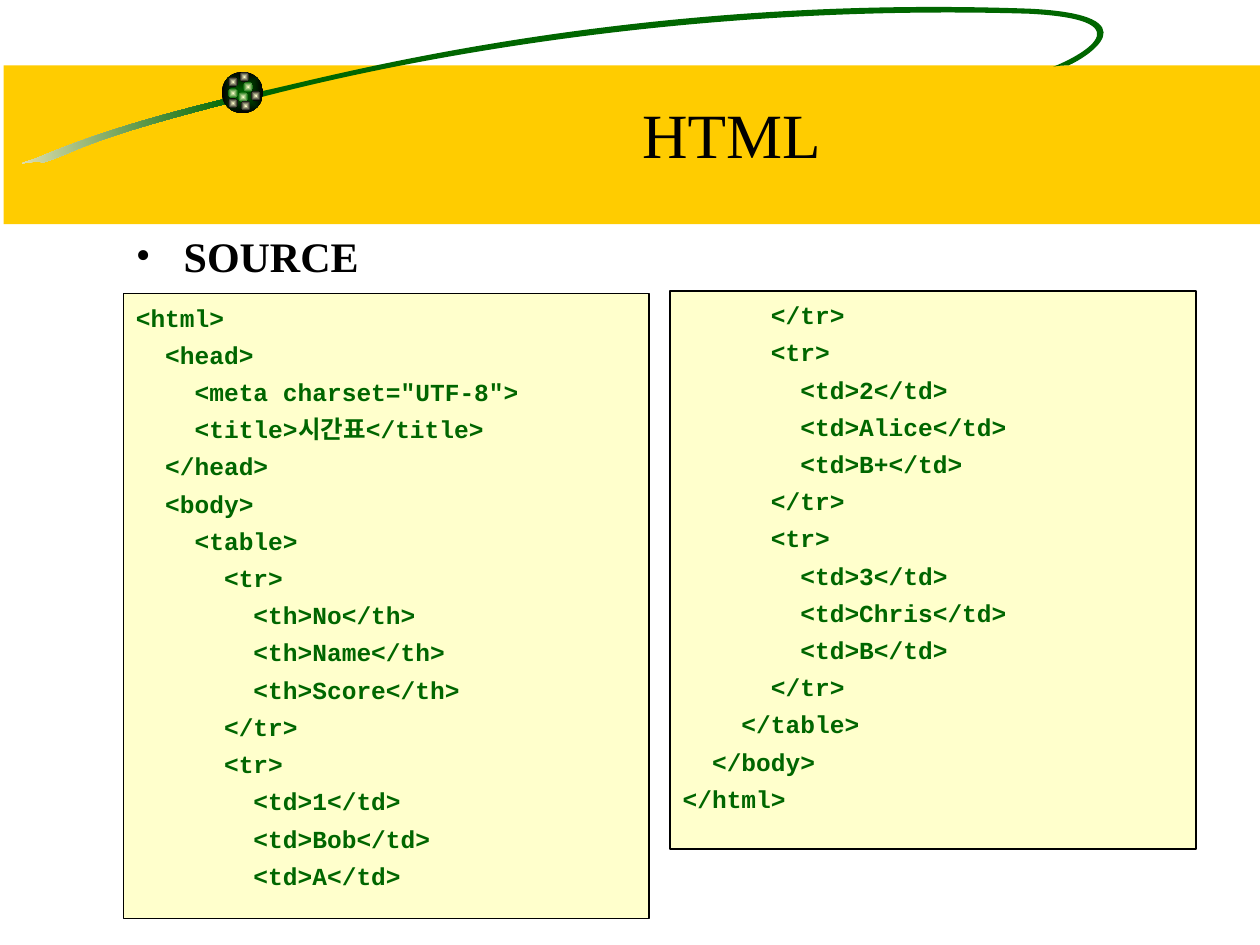
from math import cos, radians, sin

from lxml.etree import SubElement
from pptx import Presentation
from pptx.dml.color import RGBColor
from pptx.enum.shapes import MSO_SHAPE
from pptx.enum.text import MSO_ANCHOR, PP_ALIGN
from pptx.oxml.ns import qn
from pptx.util import Inches, Pt

COLORS = {
    "band": "FFCC00", "green": "006600", "sand": "F5EBC1",
    "cream": "FFFFCC", "black": "000000",
}
SERIF, MONO = "Times New Roman", "Courier New"
TILT = -8.5  # degrees that the swoosh is turned

# Swoosh outlines: a start point, then cubic curves of three points each
TAIL = [(1.81, 0.78),
        (0.93, 0.99), (0.52, 1.16), (0.28, 1.26),
        (0.03, 1.34), (0.29, 1.26), (0.34, 1.29),
        (0.59, 1.22), (0.6, 1.13), (1.81, 0.82)]
LOOP = [(2.05, 0.73),
        (2.48, 0.65), (4.89, -0.05), (8.17, 0.07),
        (9.19, 0.12), (8.6, 0.47), (8.48, 0.52),
        (8.48, 0.52), (8.41, 0.52), (8.36, 0.53),
        (8.47, 0.49), (9.19, 0.16), (8.16, 0.11),
        (5.5, 0.03), (3.23, 0.47), (2.08, 0.77)]

# Pearls on the ball: left, top, outer colour
PEARLS = [(1.93, 0.65, "green"), (1.81, 0.61, "black"), (1.81, 0.7, "green"),
          (1.89, 0.73, "green"), (1.99, 0.72, "black"), (1.91, 0.8, "black"),
          (1.81, 0.78, "black"), (1.9, 0.57, "black")]

CODE_LEFT = """<html>
  <head>
    <meta charset="UTF-8">
    <title>시간표</title>
  </head>
  <body>
    <table>
      <tr>
        <th>No</th>
        <th>Name</th>
        <th>Score</th>
      </tr>
      <tr>
        <td>1</td>
        <td>Bob</td>
        <td>A</td>"""
CODE_RIGHT = """      </tr>
      <tr>
        <td>2</td>
        <td>Alice</td>
        <td>B+</td>
      </tr>
      <tr>
        <td>3</td>
        <td>Chris</td>
        <td>B</td>
      </tr>
    </table>
  </body>
</html>"""


def rgb(name):
    return RGBColor.from_string(COLORS[name])


def write_text(frame, text, font=SERIF, size=14, color="black", bold=False,
               align=PP_ALIGN.LEFT, anchor=MSO_ANCHOR.TOP,
               leading=None, before=0, after=0):
    """Write one paragraph for each line of text."""
    frame.word_wrap = True
    frame.vertical_anchor = anchor
    for number, line in enumerate(text.split("\n")):
        para = frame.add_paragraph() if number else frame.paragraphs[0]
        para.alignment = align
        para.line_spacing = leading
        para.space_before, para.space_after = Pt(before), Pt(after)
        span = para.add_run()
        span.text = line
        span.font.name, span.font.size = font, Pt(size)
        span.font.bold = bold
        span.font.color.rgb = rgb(color)


def add_bullet(para, indent):
    props = para._p.get_or_add_pPr()
    props.set("marL", str(Inches(indent)))
    props.set("indent", str(-Inches(indent)))
    SubElement(props, qn("a:buFont"), typeface=SERIF)
    SubElement(props, qn("a:buChar"), char="•")


def turn(points, center, degrees):
    """Turn points clockwise about a center; give them as lengths."""
    c, s = cos(radians(degrees)), sin(radians(degrees))
    moved = [(x - center[0], y - center[1]) for x, y in points]
    return [(Inches(center[0] + x * c - y * s),
             Inches(center[1] + x * s + y * c)) for x, y in moved]


def bend(shape):
    """Join each three straight segments of an outline into one cubic curve."""
    outline = next(shape._element.iter(qn("a:path")))
    lines = outline.findall(qn("a:lnTo"))
    for first in range(0, len(lines), 3):
        curve = outline.makeelement(qn("a:cubicBezTo"))
        lines[first].addprevious(curve)
        for line in lines[first:first + 3]:
            curve.append(line[0])
            outline.remove(line)


class SlideWriter:
    """Holds the current page and the shared look of its elements."""

    def __init__(self, page):
        self.page = page

    def paint(self, shape, fill, outer=None, radial=False, line=None):
        shape.shadow.inherit = False
        if outer:
            shape.fill.gradient()
            shape.fill.gradient_angle = 0
            for stop, name in zip(shape.fill.gradient_stops, (fill, outer)):
                stop.color.rgb = rgb(name)
            if radial:
                gradient = shape._element.spPr.find(qn("a:gradFill"))
                gradient.remove(gradient.find(qn("a:lin")))
                path = SubElement(gradient, qn("a:path"), path="shape")
                SubElement(path, qn("a:fillToRect"),
                           l="50000", t="50000", r="50000", b="50000")
        else:
            shape.fill.solid()
            shape.fill.fore_color.rgb = rgb(fill)
        if line:
            shape.line.color.rgb = rgb(line)
            shape.line.width = Pt(1)
        else:
            shape.line.fill.background()
        return shape

    def shape(self, kind, left, top, width, height, fill, **look):
        shape = self.page.shapes.add_shape(
            kind, Inches(left), Inches(top), Inches(width), Inches(height))
        return self.paint(shape, fill, **look)

    def ball(self, left, top, size, inner, outer):
        return self.shape(MSO_SHAPE.OVAL, left, top, size, size, inner,
                          outer=outer, radial=True)

    def swoosh(self, points, center, fill, **look):
        start, *rest = turn(points, center, -TILT)
        builder = self.page.shapes.build_freeform(*start)
        builder.add_line_segments(rest, close=True)
        shape = builder.convert_to_shape()
        bend(shape)
        shape.rotation = TILT
        return self.paint(shape, fill, **look)

    def text(self, left, top, width, height, text, **style):
        box = self.page.shapes.add_textbox(
            Inches(left), Inches(top), Inches(width), Inches(height))
        write_text(box.text_frame, text, **style)
        return box

    def code(self, left, top, width, height, text):
        box = self.shape(MSO_SHAPE.RECTANGLE, left, top, width, height,
                         "cream", line="black")
        write_text(box.text_frame, text, font=MONO, color="green", bold=True,
                   leading=1.1, before=1.4, after=1.4)


def main():
    deck = Presentation()
    deck.slide_width, deck.slide_height = Inches(10), Inches(7.5)
    writer = SlideWriter(deck.slides.add_slide(deck.slide_layouts[6]))

    # Header band with swoosh and ball
    writer.shape(MSO_SHAPE.RECTANGLE, 0.03, 0.52, 10, 1.26, "band")
    writer.swoosh(TAIL, (0.92, 1.06), "sand", outer="green")
    writer.swoosh(LOOP, (5.62, 0.4), "green")
    writer.ball(1.76, 0.57, 0.33, "green", "black")
    for left, top, outer in PEARLS:
        writer.ball(left, top, 0.08, "cream", outer)

    # Title and heading
    writer.text(1.61, 0.6, 8.39, 0.92, "HTML", size=36,
                align=PP_ALIGN.CENTER, anchor=MSO_ANCHOR.MIDDLE)
    heading = writer.text(0.98, 1.78, 8.5, 5.33, "SOURCE", size=24, bold=True,
                          before=4.8)
    add_bullet(heading.text_frame.paragraphs[0], 0.38)

    # Source listing in two columns
    writer.code(0.98, 2.33, 4.17, 4.96, CODE_LEFT)
    writer.code(5.32, 2.31, 4.17, 4.43, CODE_RIGHT)

    deck.save("out.pptx")


if __name__ == "__main__":
    main()
